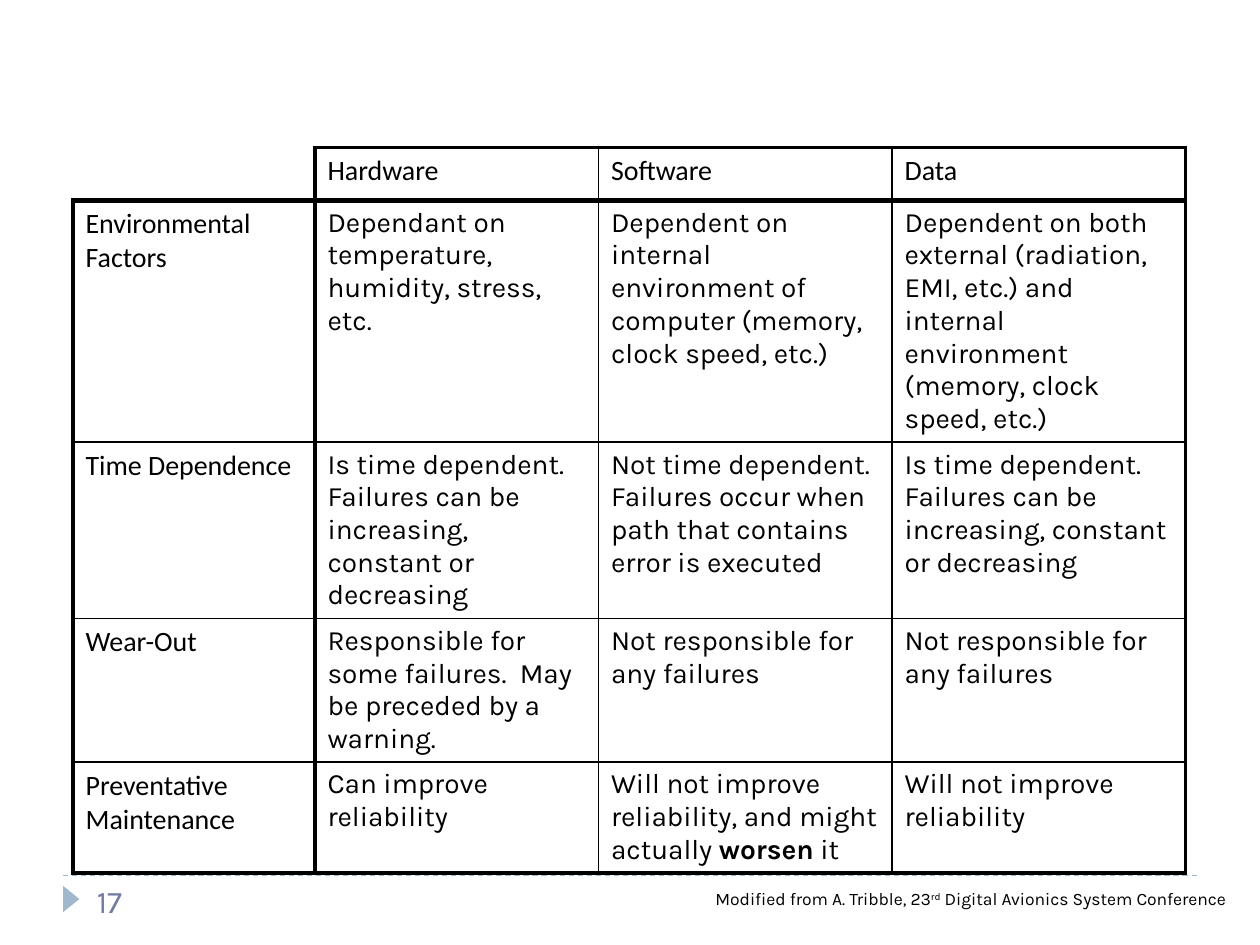
from lxml.etree import SubElement
from pptx import Presentation
from pptx.dml.color import RGBColor
from pptx.enum.dml import MSO_LINE
from pptx.enum.shapes import MSO_CONNECTOR as CONN, MSO_SHAPE as SHAPE
from pptx.enum.text import MSO_ANCHOR as ANCHOR
from pptx.oxml.ns import qn
from pptx.util import Inches, Pt

W, H = Inches(10), Inches(7.5)
BLACK, RULE, NUMBER = "000000", "9FB8CD", "727CA3"
COL_SHARES = [1.92, 2.25, 2.33, 2.33]
ROW_SHARES = [0.42, 0.74, 0.74, 0.77, 0.74]
COL_EDGES = [2.25, 3, 1, 1, 2.25]
ROW_EDGES = [2.25, 3, 1, 1, 1, 2.25]
ROWS = [
    ["", "Hardware", "Software", "Data"],
    ["Environmental Factors",
     "Dependant on temperature, humidity, stress, etc.",
     "Dependent on internal environment of computer (memory, clock speed, etc.)",
     "Dependent on both external (radiation, EMI, etc.) and internal environment "
     "(memory, clock speed, etc.)"],
    ["Time Dependence",
     "Is time dependent.  Failures can be increasing, constant or decreasing",
     "Not time dependent.  Failures occur when path that contains error is executed",
     "Is time dependent.  Failures can be increasing, constant or decreasing"],
    ["Wear-Out",
     "Responsible for some failures.  May be preceded by a warning.",
     "Not responsible for any failures",
     "Not responsible for any failures"],
    ["Preventative Maintenance",
     "Can improve reliability",
     ["Will not improve reliability, and might actually ", "worsen", " it"],
     "Will not improve reliability"],
]


def rgb(color):
    return RGBColor.from_string(color)


def box(x, y, w, h):
    return [int(v * size / 100) for v, size in zip((x, y, w, h), (W, H, W, H))]


def add_run(p, text, size, font, color=BLACK, bold=False):
    r = p.add_run()
    r.text = text
    r.font.size, r.font.name, r.font.bold = Pt(size), font, bold
    r.font.color.rgb = rgb(color)
    return r


def space_before(p, percent):
    spacing = SubElement(p._p.get_or_add_pPr(), qn("a:spcBef"))
    SubElement(spacing, qn("a:spcPct"), val=str(percent * 1000))


def set_borders(cell, **widths):
    tcPr = cell._tc.get_or_add_tcPr()
    for side, width in widths.items():
        ln = SubElement(tcPr, qn(f"a:ln{side}"), w=str(Pt(width)))
        if width:
            fill = SubElement(ln, qn("a:solidFill"))
            SubElement(fill, qn("a:srgbClr"), val=BLACK)
        else:
            SubElement(ln, qn("a:noFill"))


def fill_cell(cell, text, font):
    p = cell.text_frame.paragraphs[0]
    space_before(p, 20)
    for i, part in enumerate([text] if isinstance(text, str) else text):
        add_run(p, part, 16, font, bold=i == 1)


def add_comparison(s, x, y, w, h):
    frame = s.shapes.add_table(len(ROWS), len(COL_SHARES), x, y, w, h)
    table = frame.table
    table.first_row = table.horz_banding = False
    for column, share in zip(table.columns, COL_SHARES):
        column.width = int(w * share / sum(COL_SHARES))
    for row, share in zip(table.rows, ROW_SHARES):
        row.height = int(h * share / sum(ROW_SHARES))
    for i, texts in enumerate(ROWS):
        for j, text in enumerate(texts):
            cell = table.cell(i, j)
            corner = i == j == 0
            set_borders(cell, L=0 if corner else COL_EDGES[j], R=COL_EDGES[j + 1],
                        T=0 if corner else ROW_EDGES[i], B=ROW_EDGES[i + 1])
            cell.fill.background()
            if text:
                fill_cell(cell, text, "Karla" if i and j else "Calibri")


def add_text_box(s, x, y, w, h):
    tf = s.shapes.add_textbox(x, y, w, h).text_frame
    tf.word_wrap = True
    return tf


def add_rule(s, x, y, w, h):
    line = s.shapes.add_connector(CONN.STRAIGHT, x, y, x + w, y + h)
    line.line.color.rgb = rgb(RULE)
    line.line.width = Pt(0.75)
    line.line.dash_style = MSO_LINE.DASH
    SubElement(line._element.spPr, qn("a:effectLst"))


def add_marker(s, x, y, w, h):
    sp = s.shapes.add_shape(SHAPE.ISOSCELES_TRIANGLE, x, y, w, h)
    sp.rotation = 90
    sp.shadow.inherit = False
    sp.fill.solid()
    sp.fill.fore_color.rgb = rgb(RULE)
    sp.line.fill.background()


def add_credit(s, x, y, w, h):
    p = add_text_box(s, x, y, w, h).paragraphs[0]
    space_before(p, 50)
    add_run(p, "Modified from A. Tribble, 23", 10, "Karla")
    r = add_run(p, "rd", 10, "Karla")
    r._r.get_or_add_rPr().set("baseline", "30000")
    add_run(p, " Digital Avionics System Conference", 10, "Karla")


def add_page_number(s, x, y, w, h):
    tf = add_text_box(s, x, y, w, h)
    tf.vertical_anchor = ANCHOR.MIDDLE
    add_run(tf.paragraphs[0], "17", 18, "Karla", NUMBER)


def main():
    prs = Presentation()
    prs.slide_width, prs.slide_height = W, H
    s = prs.slides.add_slide(prs.slide_layouts[6])
    add_rule(s, *box(5, 92.67, 90, 0))
    add_marker(s, *box(4.6, 94.27, 2.1, 1.73))
    add_comparison(s, *box(5.8, 15.6, 88.3, 45.47))
    add_credit(s, *box(55.8, 93.33, 46.7, 3.6))
    add_page_number(s, *box(6.7, 92.67, 23.3, 5.33))
    prs.save("out.pptx")


if __name__ == "__main__":
    main()
